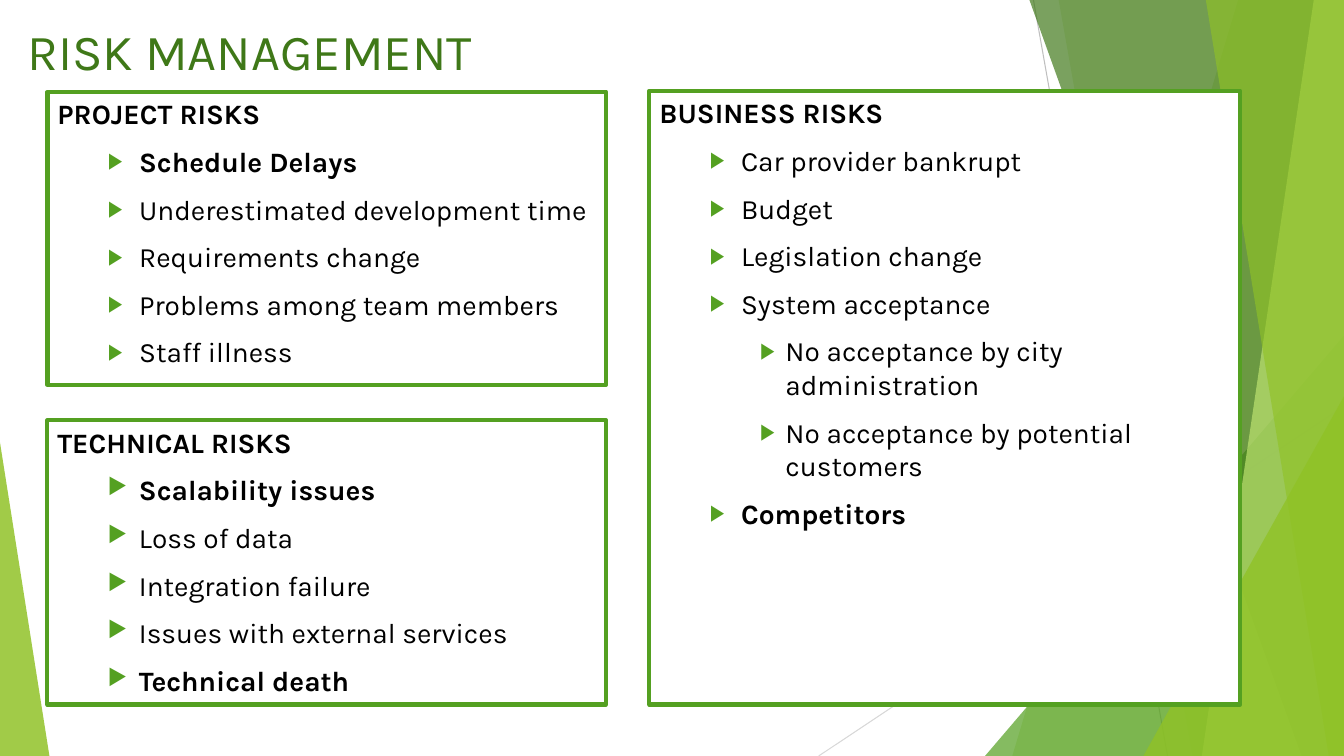
import dataclasses

import lxml.etree
import pptx
import pptx.dml.color
import pptx.enum.shapes
import pptx.enum.text
import pptx.oxml.ns
import pptx.util

Inches, Pt = pptx.util.Inches, pptx.util.Pt
RGB = pptx.dml.color.RGBColor.from_string
qn = pptx.oxml.ns.qn
W, H = 13.33, 7.5


@dataclasses.dataclass(frozen=True)
class Theme:
    font: str = "Karla"
    title_size: int = 36
    body_size: int = 20
    lime: str = "90C226"
    pale: str = "BFE471"
    green: str = "54A021"
    dark: str = "3F7818"
    text: str = "000000"
    white: str = "FFFFFF"
    rule: str = "BFBFBF"
    faint_rule: str = "D8D8D8"


T = Theme()

# Each item: text, level, bold
PROJECT = [
    ("PROJECT RISKS", 0, True),
    ("Schedule Delays", 1, True),
    ("Underestimated development time", 1, False),
    ("Requirements change", 1, False),
    ("Problems among team members", 1, False),
    ("Staff illness", 1, False),
]
BUSINESS = [
    ("BUSINESS RISKS", 0, True),
    ("Car provider bankrupt", 1, False),
    ("Budget", 1, False),
    ("Legislation change", 1, False),
    ("System acceptance", 1, False),
    ("No acceptance by city administration", 2, False),
    ("No acceptance by potential customers", 2, False),
    ("Competitors", 1, True),
]
TECHNICAL = [
    ("TECHNICAL RISKS", 0, True),
    ("Scalability issues", 1, True),
    ("Loss of data", 1, False),
    ("Integration failure", 1, False),
    ("Issues with external services", 1, False),
    ("Technical death", 1, True),
]
INDENTS = {0: (0, 0), 1: (0.81, -0.31), 2: (1.25, -0.25)}


def sub(parent, tag, **attrs):
    return lxml.etree.SubElement(parent, qn(tag), attrs)


def place(sp, box):
    sp.left, sp.top, sp.width, sp.height = [Inches(v) for v in box]


def tint(sp, color, opacity):
    sp.shadow.inherit = False
    sp.line.fill.background()
    sp.fill.solid()
    sp.fill.fore_color.rgb = RGB(color)
    clr = sp._element.spPr.find(qn("a:solidFill"))[0]
    sub(clr, "a:alpha", val=str(opacity * 1000))


def add_rule(s, x1, y1, x2, y2, color):
    line = s.shapes.add_connector(pptx.enum.shapes.MSO_CONNECTOR.STRAIGHT,
                                  Inches(x1), Inches(y1), Inches(x2), Inches(y2))
    line.line.color.rgb = RGB(color)
    line.line.width = Pt(0.75)
    sub(line._element.spPr, "a:effectLst")


def add_ribbon(s, top_x, bottom_x, color, opacity):
    """Band from a slanted left edge to the right edge of the slide."""
    corners = [(Inches(x), Inches(y)) for x, y in
               [(top_x, 0), (W, 0), (W, H), (bottom_x, H)]]
    fb = s.shapes.build_freeform(*corners[0], scale=1.0)
    fb.add_line_segments(corners[1:], close=True)
    tint(fb.convert_to_shape(), color, opacity)


def add_wedge(s, left, top, width, apex, color, opacity):
    """Triangle standing on the bottom edge of the slide."""
    sp = s.shapes.add_shape(pptx.enum.shapes.MSO_SHAPE.ISOSCELES_TRIANGLE,
                            Inches(left), Inches(top), Inches(width), Inches(H - top))
    sp.adjustments[0] = apex
    tint(sp, color, opacity)


def add_backdrop(s):
    add_rule(s, 10.25, 0, 11.58, H, T.rule)
    add_rule(s, W, 4.03, 8.12, H, T.faint_rule)
    add_ribbon(s, 12.28, 10.04, T.lime, 29)
    add_ribbon(s, 10.5, 11.83, T.lime, 20)
    add_wedge(s, 9.77, 3.33, 3.56, 1, T.green, 71)
    add_ribbon(s, 10.21, 12.91, T.dark, 69)
    add_ribbon(s, 13.03, 11.92, T.pale, 69)
    add_ribbon(s, 11.96, 13.18, T.lime, 64)
    add_wedge(s, 11.34, 3.93, 1.99, 1, T.lime, 80)
    add_wedge(s, 0, 4.39, 0.49, 0, T.lime, 84)


def set_frame(tf, anchor):
    tf.word_wrap = True
    tf.auto_size = pptx.enum.text.MSO_AUTO_SIZE.NONE
    tf.vertical_anchor = anchor
    tf.margin_left = tf.margin_right = Inches(0.1)
    tf.margin_top = tf.margin_bottom = Inches(0.05)


def style_run(r, size, color, bold=False):
    r.font.name, r.font.size, r.font.bold = T.font, Pt(size), bold
    r.font.color.rgb = RGB(color)


def fill_title(sp, box, text):
    place(sp, box)
    tf = sp.text_frame
    set_frame(tf, pptx.enum.text.MSO_ANCHOR.MIDDLE)
    tf.text = text
    p = tf.paragraphs[0]
    p.alignment = pptx.enum.text.PP_ALIGN.LEFT
    style_run(p.runs[0], T.title_size, T.dark)


def set_bullet(p, level):
    pPr = p._p.get_or_add_pPr()
    margin, indent = INDENTS[level]
    pPr.set("marL", str(Inches(margin)))
    pPr.set("indent", str(Inches(indent)))
    if level == 0:
        sub(pPr, "a:buNone")
        return
    sub(sub(pPr, "a:buClr"), "a:srgbClr", val=T.green)
    sub(pPr, "a:buSzPct", val="80000")
    sub(pPr, "a:buChar", char="▶")


def fill_panel(sp, box, items, fill=None):
    """Framed list with a bold heading."""
    place(sp, box)
    sp.line.color.rgb = RGB(T.green)
    sp.line.width = Pt(3)
    if fill:
        sp.fill.solid()
        sp.fill.fore_color.rgb = RGB(fill)
    tf = sp.text_frame
    set_frame(tf, pptx.enum.text.MSO_ANCHOR.TOP)
    tf.text = "\n".join(text for text, _, _ in items)
    for p, (_, level, bold) in zip(tf.paragraphs, items):
        p.level = level
        p.line_spacing = 1.0
        p.space_before = Pt(10 if level else 0)
        p.space_after = Pt(0)
        set_bullet(p, level)
        style_run(p.runs[0], T.body_size, T.text, bold)


def build_risk_slide(prs):
    s = prs.slides.add_slide(prs.slide_layouts[3])
    title, project, business = list(s.placeholders)
    add_backdrop(s)
    # Bring the text in front of the backdrop
    for sp in (title, project, business):
        s.shapes._spTree.append(sp._element)
    technical = s.shapes.add_textbox(0, 0, 0, 0)
    fill_title(title, (0.17, 0.14, 5.49, 0.71), "RISK MANAGEMENT")
    fill_panel(project, (0.47, 0.91, 5.54, 2.91), PROJECT)
    fill_panel(business, (6.44, 0.9, 5.86, 6.09), BUSINESS, T.white)
    fill_panel(technical, (0.47, 4.17, 5.54, 2.82), TECHNICAL)


def main():
    prs = pptx.Presentation()
    prs.slide_width, prs.slide_height = Inches(W), Inches(H)
    build_risk_slide(prs)
    prs.save("out.pptx")


if __name__ == "__main__":
    main()
